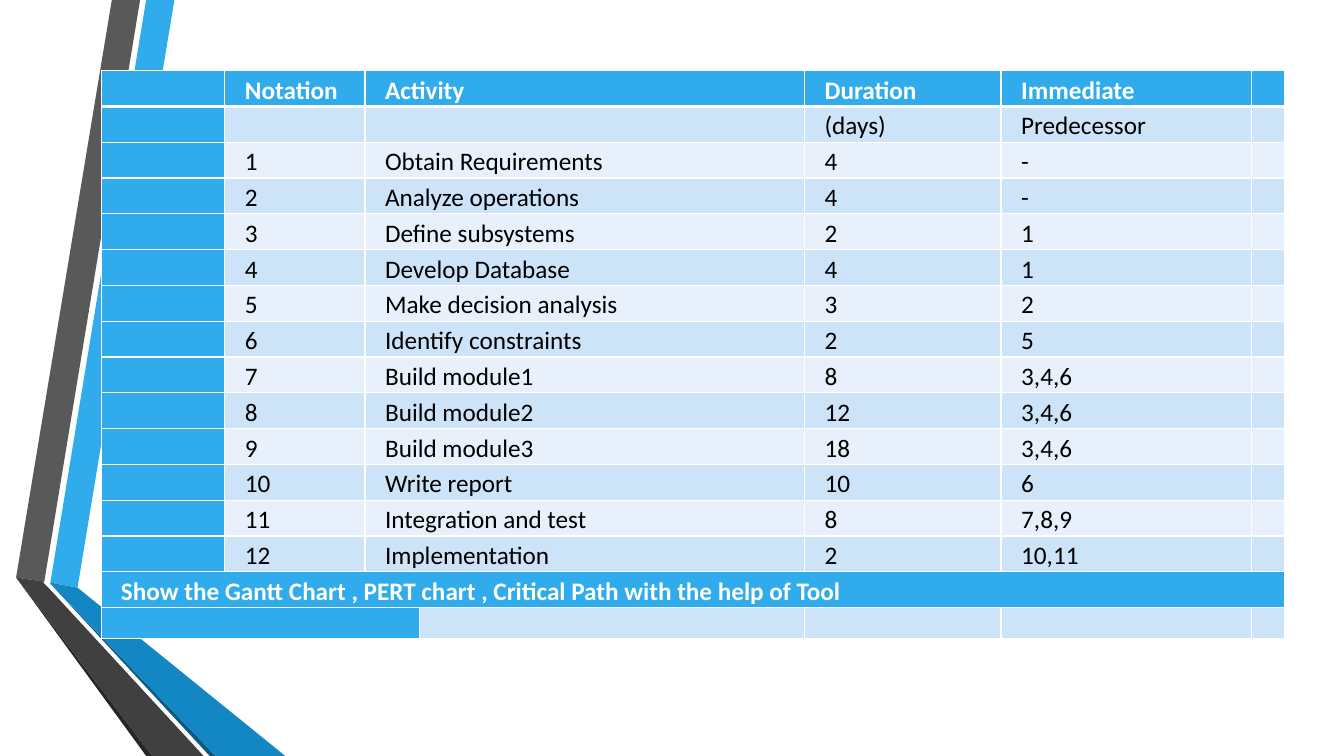
import pptx
import pptx.dml.color
import pptx.oxml
import pptx.oxml.ns
import pptx.util

Inches = pptx.util.Inches
Pt = pptx.util.Pt

COLORS = {
    "blue": "30ACEC",
    "mid_blue": "1287C3",
    "deep_blue": "0C5A82",
    "gray": "595959",
    "dark_gray": "404040",
    "near_black": "262626",
    "band_dark": "CDE3F8",
    "band_light": "E8F1FB",
    "white": "FFFFFF",
    "black": "000000",
}

RIBBONS = [
    ("blue", [(0.5, 5.78), (0.77, 5.83), (1.73, 0), (1.45, 0)]),
    ("gray", [(1.39, 0), (1.11, 0), (0.16, 5.73), (0.44, 5.77)]),
    ("near_black", [(0.16, 5.73), (1.45, 7.5), (1.51, 7.5)]),
    ("deep_blue", [(0.5, 5.79), (2.08, 7.5), (2.14, 7.5)]),
    ("mid_blue", [(0.5, 5.78), (0.5, 5.79), (2.14, 7.5), (2.83, 7.5), (0.77, 5.83)]),
    ("dark_gray", [(2.02, 7.5), (0.48, 5.83), (0.43, 5.78), (0.44, 5.77),
                   (0.16, 5.73), (1.51, 7.5)]),
]

COLUMN_WIDTHS = [1.22, 1.39, 0.54, 3.82, 1.95, 2.48, 0.33]
TEXT_COLUMNS = [1, 2, 4, 5]
SCHEDULE = [
    ("Notation", "Activity", "Duration", "Immediate"),
    ("", "", "(days)", "Predecessor"),
    ("1", "Obtain Requirements", "4", "-"),
    ("2", "Analyze operations", "4", "-"),
    ("3", "Define subsystems", "2", "1"),
    ("4", "Develop Database", "4", "1"),
    ("5", "Make decision analysis", "3", "2"),
    ("6", "Identify constraints", "2", "5"),
    ("7", "Build module1", "8", "3,4,6"),
    ("8", "Build module2", "12", "3,4,6"),
    ("9", "Build module3", "18", "3,4,6"),
    ("10", "Write report", "10", "6"),
    ("11", "Integration and test", "8", "7,8,9"),
    ("12", "Implementation", "2", "10,11"),
]
TASK = "Show the Gantt Chart , PERT chart , Critical Path with the help of Tool"
TASK_ROW = len(SCHEDULE)
LAST_ROW = TASK_ROW + 1


def rgb(name):
    return pptx.dml.color.RGBColor.from_string(COLORS[name])


def add_ribbon(slide, color, points):
    corners = [(Inches(x), Inches(y)) for x, y in points]
    builder = slide.shapes.build_freeform(*corners[0])
    builder.add_line_segments(corners[1:], close=True)
    ribbon = builder.convert_to_shape()
    ribbon.shadow.inherit = False
    ribbon.fill.solid()
    ribbon.fill.fore_color.rgb = rgb(color)
    ribbon.line.fill.background()


def set_borders(cell, top, bottom):
    """Draw white cell borders; top and bottom are widths in points."""
    properties = cell._tc.get_or_add_tcPr()
    for side, width in (("L", 1), ("R", 1), ("T", top), ("B", bottom)):
        properties.append(pptx.oxml.parse_xml(
            f'<a:ln{side} {pptx.oxml.ns.nsdecls("a")} w="{Pt(width)}">'
            f'<a:solidFill><a:srgbClr val="{COLORS["white"]}"/></a:solidFill>'
            f'</a:ln{side}>'))


def style_cell(cell, row, column):
    set_borders(cell, 3 if row == 1 else 1, 3 if row == 0 else 1)
    band = "band_dark" if row % 2 else "band_light"
    accented = row in (0, TASK_ROW) or column == 0
    cell.fill.solid()
    cell.fill.fore_color.rgb = rgb("blue" if accented else band)
    cell.margin_left = cell.margin_right = Inches(0.13)
    cell.margin_top = cell.margin_bottom = 0


def write_cell(cell, text, emphasized, indent=0.07):
    cell.text_frame.text = text
    paragraph = cell.text_frame.paragraphs[0]
    paragraph.line_spacing = 1.15
    paragraph._p.get_or_add_pPr().set("marL", str(Inches(indent)))
    for run in paragraph.runs:
        run.font.name = "Calibri"
        run.font.size = Pt(18)
        run.font.bold = emphasized
        run.font.color.rgb = rgb("white" if emphasized else "black")


def add_schedule(slide):
    table = slide.shapes.add_table(
        LAST_ROW + 1, len(COLUMN_WIDTHS),
        Inches(1.01), Inches(0.7), Inches(11.73), Inches(5.64)).table
    for column, width in zip(table.columns, COLUMN_WIDTHS):
        column.width = Inches(width)
    for row in table.rows:
        row.height = Inches(5.33) // LAST_ROW
    table.rows[LAST_ROW].height = Inches(0.31)

    for row in range(LAST_ROW + 1):
        for column in range(len(COLUMN_WIDTHS)):
            style_cell(table.cell(row, column), row, column)

    for row, entries in enumerate(SCHEDULE):
        table.cell(row, 2).merge(table.cell(row, 3))
        for column, text in zip(TEXT_COLUMNS, entries):
            if text:
                write_cell(table.cell(row, column), text, row == 0)
    table.cell(TASK_ROW, 0).merge(table.cell(TASK_ROW, 6))
    write_cell(table.cell(TASK_ROW, 0), TASK, True, 0.06)
    table.cell(LAST_ROW, 0).merge(table.cell(LAST_ROW, 2))


def main():
    presentation = pptx.Presentation()
    presentation.slide_width = Inches(13.33)
    presentation.slide_height = Inches(7.5)
    slide = presentation.slides.add_slide(presentation.slide_layouts[6])
    for color, points in RIBBONS:
        add_ribbon(slide, color, points)
    add_schedule(slide)
    presentation.save("out.pptx")


if __name__ == "__main__":
    main()
